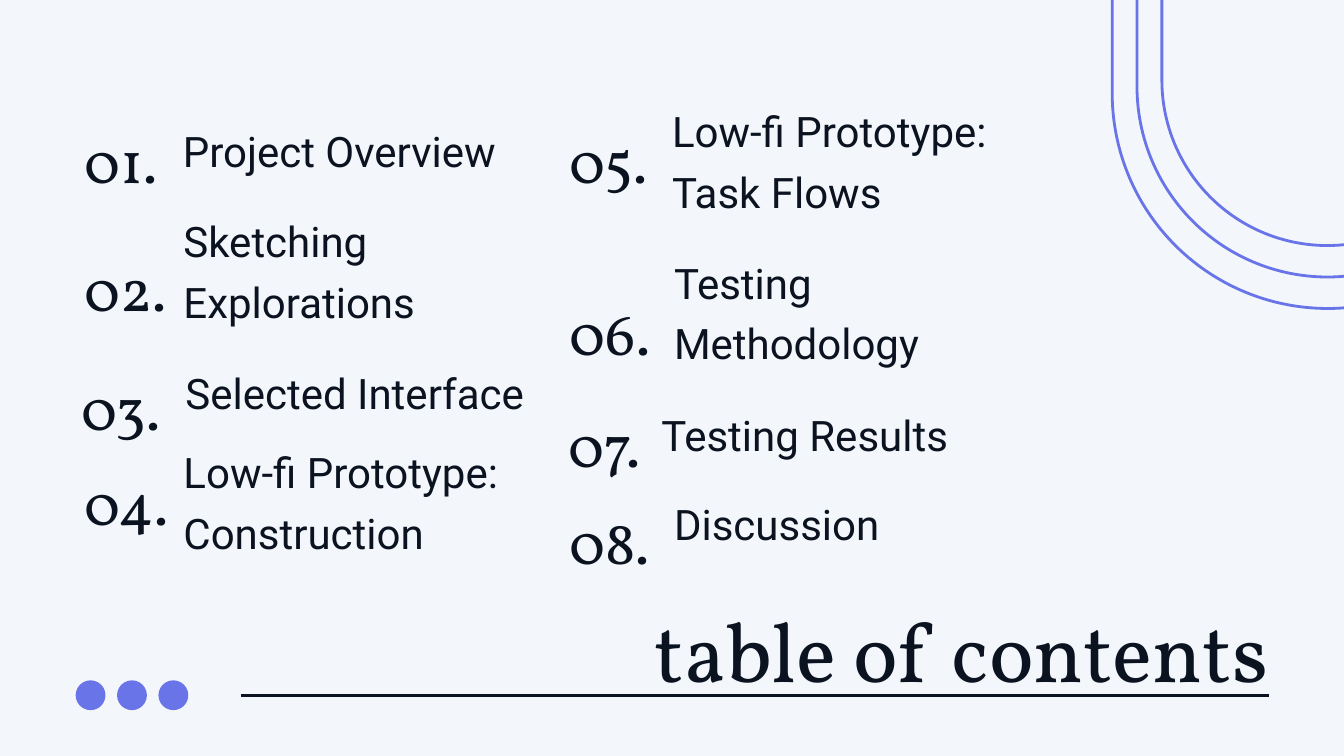
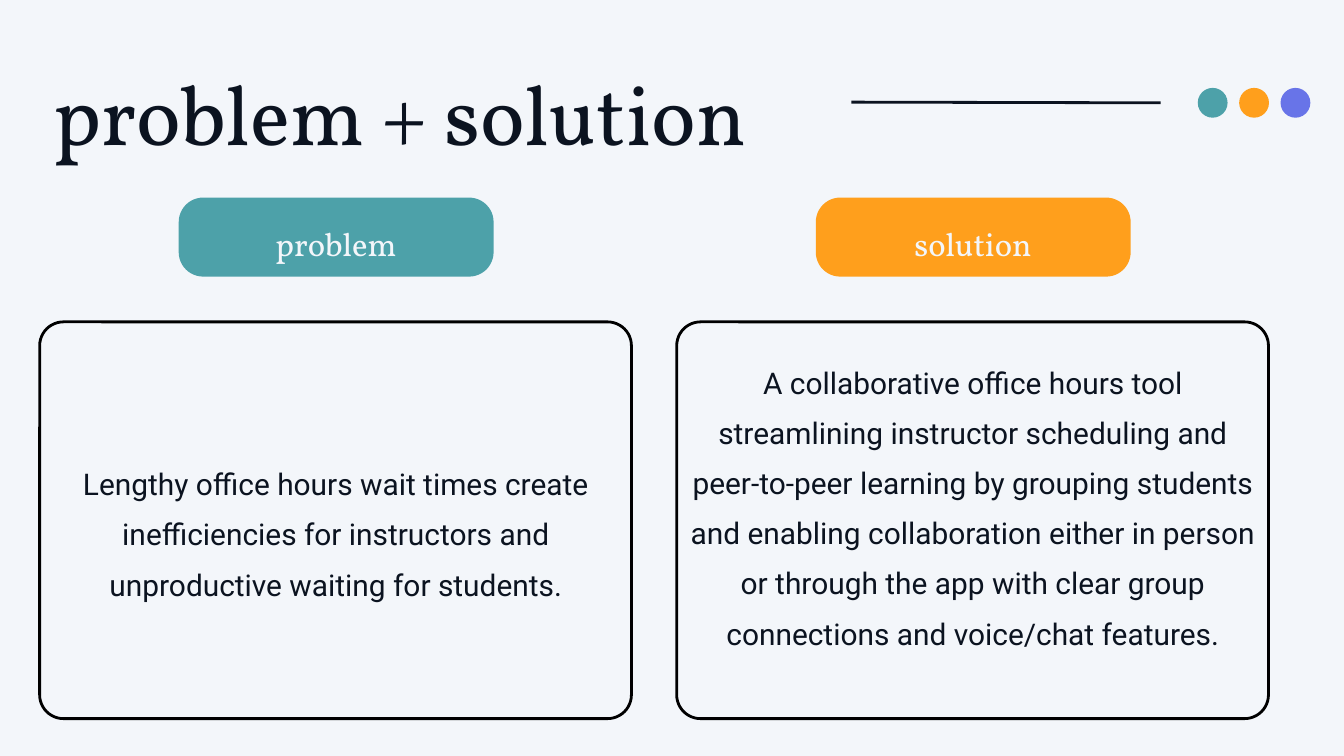
from lxml.etree import SubElement
from pptx import Presentation
from pptx.dml.color import RGBColor
from pptx.enum.shapes import MSO_CONNECTOR, MSO_SHAPE
from pptx.enum.text import MSO_ANCHOR, MSO_AUTO_SIZE, PP_ALIGN
from pptx.oxml.ns import qn
from pptx.util import Inches, Pt

WIDTH, HEIGHT = 20, 11.25
CELL = WIDTH / 100  # the grid has 100 columns of square cells
SERIF, SANS = "Vollkorn", "Roboto"
PAPER, INK, BLACK = "F3F6FA", "0B1320", "000000"
VIOLET, TEAL, ORANGE = "6874E8", "4DA1A9", "FF9F1C"
LEFT, CENTER, RIGHT = PP_ALIGN.LEFT, PP_ALIGN.CENTER, PP_ALIGN.RIGHT


def color(hex_string):
    return RGBColor.from_string(hex_string)


def cells(*values):
    """Turn grid cells into lengths."""
    return [Inches(value * CELL) for value in values]


class Deck:
    """Holds the shared style and the slide being built."""

    def __init__(self):
        self.prs = Presentation()
        self.prs.slide_width, self.prs.slide_height = Inches(WIDTH), Inches(HEIGHT)
        fill = self.prs.slide_master.background.fill
        fill.solid()
        fill.fore_color.rgb = color(PAPER)

    def new_slide(self, layout):
        self.slide = self.prs.slides.add_slide(self.prs.slide_layouts.get_by_name(layout))

    def set_text(self, sp, text, size, font, spacing, align=LEFT, ink=INK):
        tf = sp.text_frame
        tf.word_wrap = True
        tf.auto_size = MSO_AUTO_SIZE.NONE
        tf.vertical_anchor = MSO_ANCHOR.TOP
        tf.margin_left = tf.margin_right = tf.margin_top = tf.margin_bottom = 0
        p = tf.paragraphs[0]
        p.alignment, p.line_spacing, p.space_before = align, spacing, Pt(0)
        r = p.add_run()
        r.text = text
        r.font.name, r.font.size, r.font.bold = font, Pt(size), False
        r.font.color.rgb = color(ink)
        return p

    def text(self, box, *style, **options):
        self.set_text(self.slide.shapes.add_textbox(*cells(*box)), *style, **options)

    def placeholder(self, idx, box, *style, **options):
        """Fill a template placeholder and bring it to the front."""
        sp = self.slide.placeholders[idx]
        sp.left, sp.top, sp.width, sp.height = cells(*box)
        sp.element.getparent().append(sp.element)
        p = self.set_text(sp, *style, **options)
        if idx:
            pPr = p._p.get_or_add_pPr()
            pPr.set("marL", "0")
            pPr.set("indent", "0")
            SubElement(pPr, qn("a:buNone"))

    def title(self, box, text, align=LEFT):
        self.placeholder(0, box, text, 90, SERIF, 1.2, align)

    def shape(self, kind, box, fill=None, line=None, adjust=()):
        sp = self.slide.shapes.add_shape(kind, *cells(*box))
        sp.shadow.inherit = False
        for i, value in enumerate(adjust):
            sp.adjustments[i] = value
        if fill:
            sp.fill.solid()
            sp.fill.fore_color.rgb = color(fill)
        else:
            sp.fill.background()
        if line:
            sp.line.color.rgb = color(line)
            sp.line.width = Pt(3)
        else:
            sp.line.fill.background()
        return sp

    def rule(self, x1, y1, x2, y2):
        line = self.slide.shapes.add_connector(MSO_CONNECTOR.STRAIGHT, *cells(x1, y1, x2, y2))
        line.line.color.rgb = color(INK)
        line.line.width = Pt(3)
        SubElement(line._element.spPr, qn("a:effectLst"))

    def dots(self, x, y, fills):
        for i, fill in enumerate(fills):
            self.shape(MSO_SHAPE.OVAL, (x + 3.08 * i, y, 2.22, 2.22), fill)

    def arches(self):
        for i in range(3):
            box = 82.75 + 1.85 * i, -16.5 + 2.28 * i, 32.05 - 3.72 * i, 39.45 - 4.62 * i
            arch = self.shape(MSO_SHAPE.ROUND_2_SAME_RECTANGLE, box, line=VIOLET, adjust=(0.5, 0))
            arch.rotation = 180


# number centre and top, then item left, top and wording
CONTENTS = [
    (8.98, 7.1, 13.6, 8.6, "Project Overview"),
    (9.35, 16.6, 13.65, 15.3, "Sketching Explorations"),
    (8.98, 25.45, 13.8, 26.6, "Selected Interface"),
    (9.38, 32.5, 13.65, 32.5, "Low-fi Prototype: Construction"),
    (45.25, 7.1, 50, 7.1, "Low-fi Prototype: Task Flows"),
    (45.38, 19.9, 50.15, 18.4, "Testing Methodology"),
    (44.98, 28.2, 49.2, 29.7, "Testing Results"),
    (45.38, 35.45, 50.15, 36.35, "Discussion"),
]

# label, colour, body top, body height, body wording
PANELS = [
    ("problem", TEAL, 33.6, 10.25,
     "Lengthy office hours wait times create inefficiencies for instructors "
     "and unproductive waiting for students."),
    ("solution", ORANGE, 26.05, 25.3,
     "A collaborative office hours tool streamlining instructor scheduling and "
     "peer-to-peer learning by grouping students and enabling collaboration either "
     "in person or through the app with clear group connections and voice/chat features."),
]


def contents_slide(deck):
    deck.new_slide("Title Only")
    deck.arches()
    deck.title((34.6, 43.05, 59.75, 7.6), "table of contents", RIGHT)
    deck.rule(17.9, 51.75, 94.4, 51.75)
    deck.dots(5.63, 50.62, [VIOLET] * 3)
    for n, (center, number_top, x, y, item) in enumerate(CONTENTS, 1):
        deck.text((center - 3.75, number_top, 7.5, 5.4), f"{n:02}.", 64, SERIF, 1.4, CENTER)
        height = 8.35 if len(item) > 18 else 3.8
        deck.text((x, y, 26.95, height), item, 45, SANS, 1.2)


def problem_slide(deck):
    deck.new_slide("Comparison")
    deck.title((3.95, 3.05, 56.6, 7.6), "problem + solution")
    deck.rule(63.35, 7.6, 86.35, 7.65)
    deck.dots(89.12, 6.54, [TEAL, ORANGE, VIOLET])
    for i, (label, fill, top, height, body) in enumerate(PANELS):
        x = 47.4 * i
        rounded = MSO_SHAPE.ROUNDED_RECTANGLE
        deck.shape(rounded, (x + 2.95, 23.95, 44.03, 29.52), line=BLACK, adjust=[0.06])
        deck.shape(rounded, (x + 13.3, 14.7, 23.43, 5.88), fill, adjust=[0.31])
        deck.placeholder(2 * i + 1, (x + 15.2, 15.8, 19.6, 2.95),
                         label, 35, SERIF, 1.3, CENTER, PAPER)
        deck.placeholder(2 * i + 2, (x + 3.95, top, 42.1, height), body, 32, SANS, 1.4, CENTER)


def main():
    deck = Deck()
    contents_slide(deck)
    problem_slide(deck)
    deck.prs.save("out.pptx")


if __name__ == "__main__":
    main()
